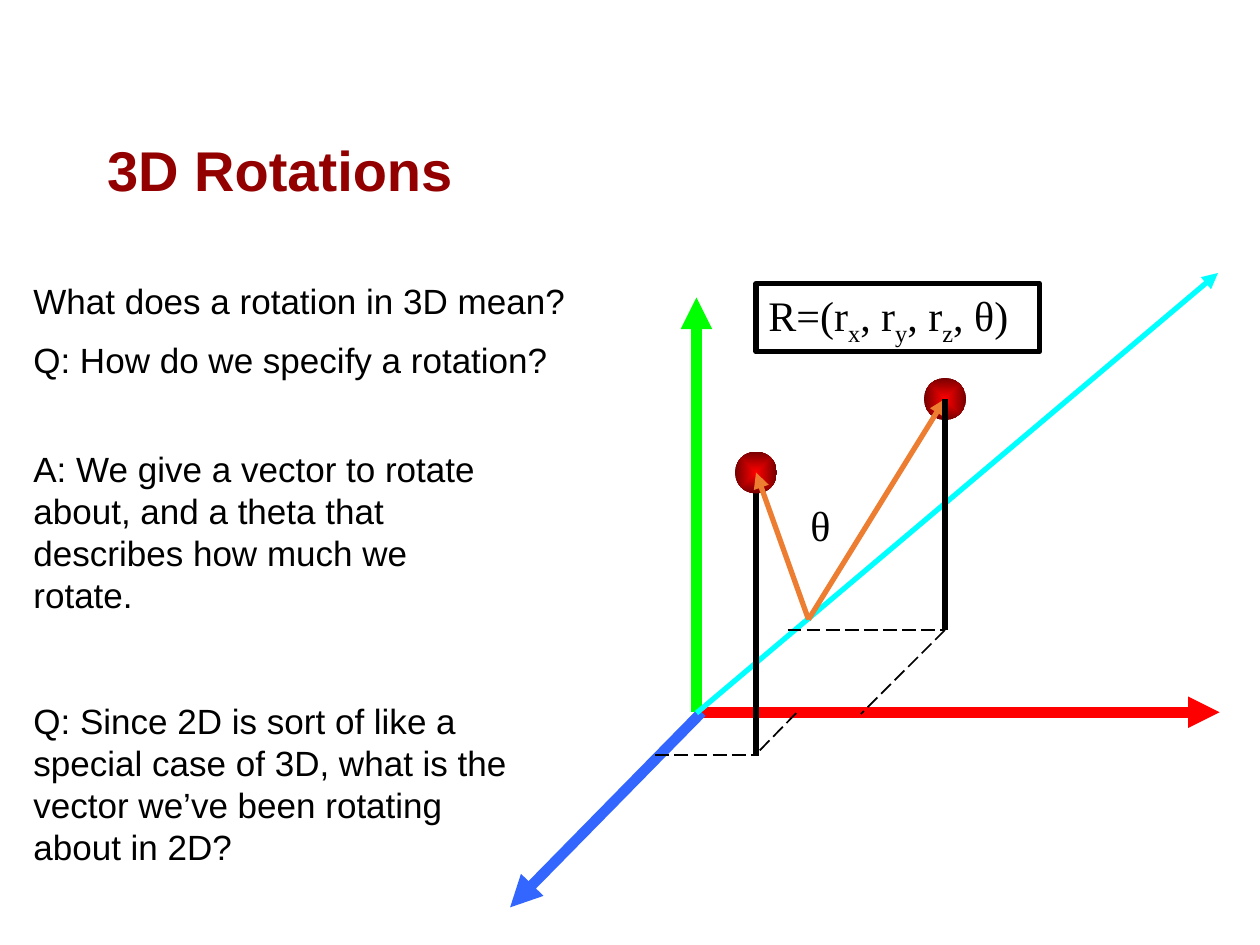
from lxml import etree
from pptx import Presentation
from pptx.dml.color import RGBColor
from pptx.enum.dml import MSO_LINE
from pptx.enum.shapes import MSO_CONNECTOR, MSO_SHAPE
from pptx.enum.text import MSO_ANCHOR, MSO_AUTO_SIZE, PP_ALIGN
from pptx.oxml.ns import qn
from pptx.util import Pt

STRAIGHT = MSO_CONNECTOR.STRAIGHT
RECTANGLE = MSO_SHAPE.RECTANGLE
OVAL = MSO_SHAPE.OVAL
LONG_DASH = MSO_LINE.LONG_DASH
LEFT = PP_ALIGN.LEFT
TOP = MSO_ANCHOR.TOP
BOTTOM = MSO_ANCHOR.BOTTOM
FIT_TEXT = MSO_AUTO_SIZE.SHAPE_TO_FIT_TEXT
NO_FIT = MSO_AUTO_SIZE.NONE

BLACK = RGBColor(0x00, 0x00, 0x00)
MAROON = RGBColor(0x92, 0x00, 0x00)
RED = RGBColor(0xFF, 0x00, 0x00)
DARK_RED = RGBColor(0x76, 0x00, 0x00)
GREEN = RGBColor(0x00, 0xFF, 0x00)
BLUE = RGBColor(0x33, 0x66, 0xFF)
CYAN = RGBColor(0x00, 0xFF, 0xFF)
ORANGE = RGBColor(0xED, 0x7D, 0x31)

TITLE = {"name": "Arial", "size": Pt(32), "bold": True}
BODY = {"name": "Arial", "size": Pt(20)}
MATH = {"name": "Times New Roman", "size": Pt(24)}

BALL_SIZE = 24
START_BALL = (432, 270)
END_BALL = (540, 228)
START_FOOT = (432, 432)
END_FOOT = (540, 360)
PIVOT = (462, 354)

FORMULA = [("R=(r", False), ("x", True), (", r", False), ("y", True),
           (", r", False), ("z", True), (", θ)", False)]


def format_font(font, style, color=BLACK):
    for name, value in style.items():
        setattr(font, name, value)
    font.color.rgb = color


def format_frame(frame, anchor=TOP, auto_size=FIT_TEXT):
    values = {"word_wrap": True, "vertical_anchor": anchor, "auto_size": auto_size}
    for name, value in values.items():
        setattr(frame, name, value)


def add_title(slide, text):
    title = slide.shapes.title
    bounds = {"left": 54, "top": 30, "width": 612, "height": 90}
    for name, value in bounds.items():
        setattr(title, name, Pt(value))
    format_frame(title.text_frame, BOTTOM, NO_FIT)
    para = title.text_frame.paragraphs[0]
    para.text = text
    para.alignment = LEFT
    para.line_spacing = 0.9
    format_font(para.runs[0].font, TITLE, MAROON)


def add_text(slide, bounds, lines, style):
    box = slide.shapes.add_textbox(*map(Pt, bounds))
    frame = box.text_frame
    format_frame(frame)
    frame.text = "\n".join(lines)
    for index, para in enumerate(frame.paragraphs):
        if index:
            para.space_before = Pt(10)
        format_font(para.runs[0].font, style)


def add_formula(slide, bounds, pieces):
    box = slide.shapes.add_shape(RECTANGLE, *map(Pt, bounds))
    box.shadow.inherit = False
    box.fill.background()
    box.line.color.rgb = BLACK
    box.line.width = Pt(3)
    format_frame(box.text_frame)
    para = box.text_frame.paragraphs[0]
    para.alignment = LEFT
    for text, is_subscript in pieces:
        span = para.add_run()
        span.text = text
        format_font(span.font, MATH)
        if is_subscript:
            span._r.get_or_add_rPr().set("baseline", "-25000")


def add_line(slide, start, end, color=BLACK, width=3, arrow=False, dash=None):
    connector = slide.shapes.add_connector(STRAIGHT, *map(Pt, start + end))
    line = connector.line
    line.color.rgb = color
    line.width = Pt(width)
    if dash:
        line.dash_style = dash
    properties = connector._element.spPr
    if arrow:
        etree.SubElement(properties.find(qn("a:ln")), qn("a:tailEnd"), type="triangle")
    etree.SubElement(properties, qn("a:effectLst"))


def add_guide(slide, start, end):
    add_line(slide, start, end, width=1, dash=LONG_DASH)


def add_ball(slide, center):
    left, top = (value - BALL_SIZE / 2 for value in center)
    ball = slide.shapes.add_shape(OVAL, *map(Pt, (left, top, BALL_SIZE, BALL_SIZE)))
    ball.shadow.inherit = False
    ball.line.fill.background()
    ball.fill.gradient()
    for stop, color, position in zip(ball.fill.gradient_stops, (RED, DARK_RED), (0, 1)):
        stop.color.rgb = color
        stop.position = position
    gradient = ball._element.spPr.find(qn("a:gradFill"))
    gradient.remove(gradient.find(qn("a:lin")))
    shading = etree.SubElement(gradient, qn("a:path"), path="shape")
    sides = dict.fromkeys("ltrb", "50000")
    etree.SubElement(shading, qn("a:fillToRect"), sides)


def main():
    deck = Presentation()
    deck.slide_width, deck.slide_height = Pt(720), Pt(540)
    slide = deck.slides.add_slide(deck.slide_layouts[5])
    add_title(slide, "3D Rotations")

    axes = [((397, 407), (697, 407), RED),
            ((401, 407), (291.5, 518.5), BLUE),
            ((398, 407), (398, 170), GREEN)]
    for start, end, color in axes:
        add_line(slide, start, end, color, width=6, arrow=True)
    add_guide(slide, (455, 407.5), (431.5, 431.5))
    add_guide(slide, (374.5, 431.5), (434, 431.5))
    add_ball(slide, END_BALL)

    add_formula(slide, (432, 162, 162, 39), FORMULA)
    add_text(slide, (12, 156, 438, 68),
             ["What does a rotation in 3D mean?", "Q: How do we specify a rotation?"], BODY)
    add_text(slide, (12, 252, 276, 104),
             ["A: We give a vector to rotate about, and a theta that "
              "describes how much we rotate."], BODY)

    add_line(slide, (398, 407.5), (696, 156), CYAN, arrow=True)
    add_line(slide, START_BALL, START_FOOT)
    add_ball(slide, START_BALL)
    for ball in (START_BALL, END_BALL):
        add_line(slide, PIVOT, ball, ORANGE, arrow=True)
    add_line(slide, END_BALL, END_FOOT)
    add_guide(slide, END_FOOT, (492, 408))
    add_guide(slide, (450, 360), END_FOOT)

    add_text(slide, (456, 282, 30, 36), ["θ"], MATH)
    add_text(slide, (12, 396, 300, 104),
             ["Q: Since 2D is sort of like a special case of 3D, what is the "
              "vector we’ve been rotating about in 2D?"], BODY)
    deck.save("out.pptx")


if __name__ == "__main__":
    main()
